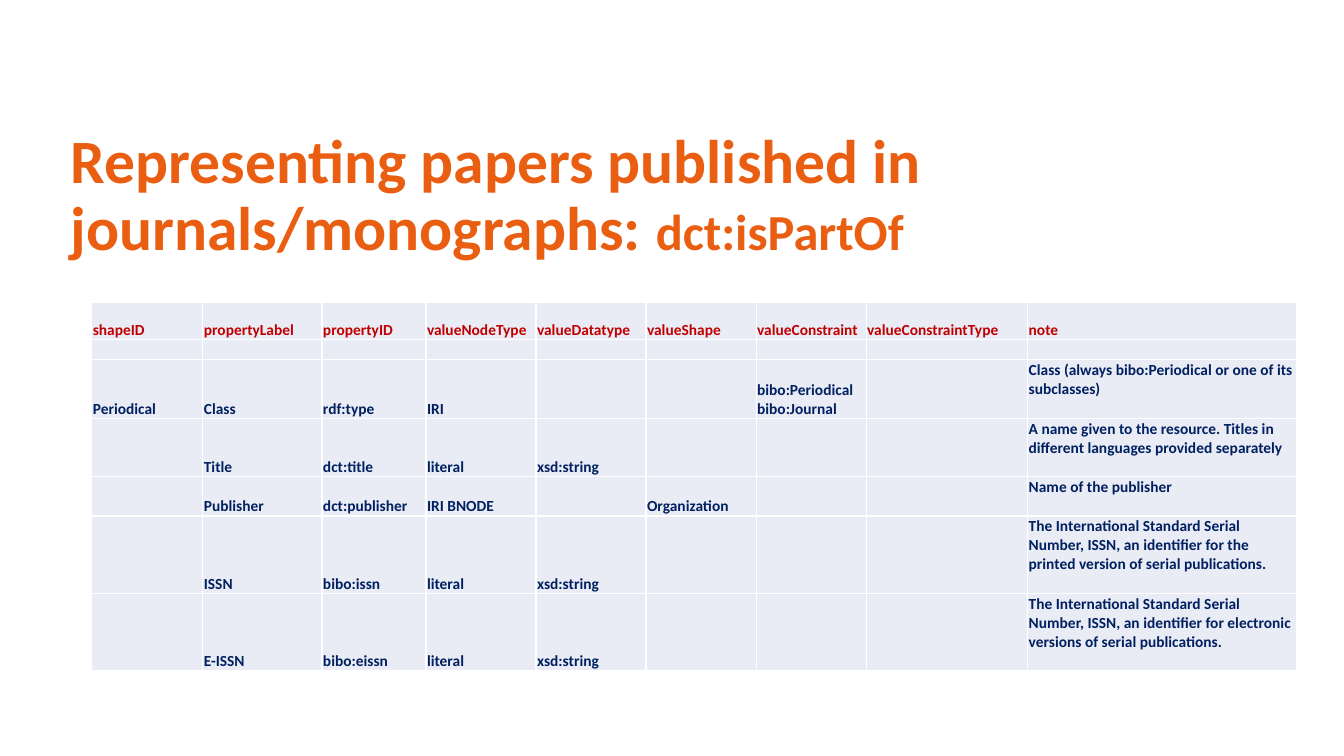
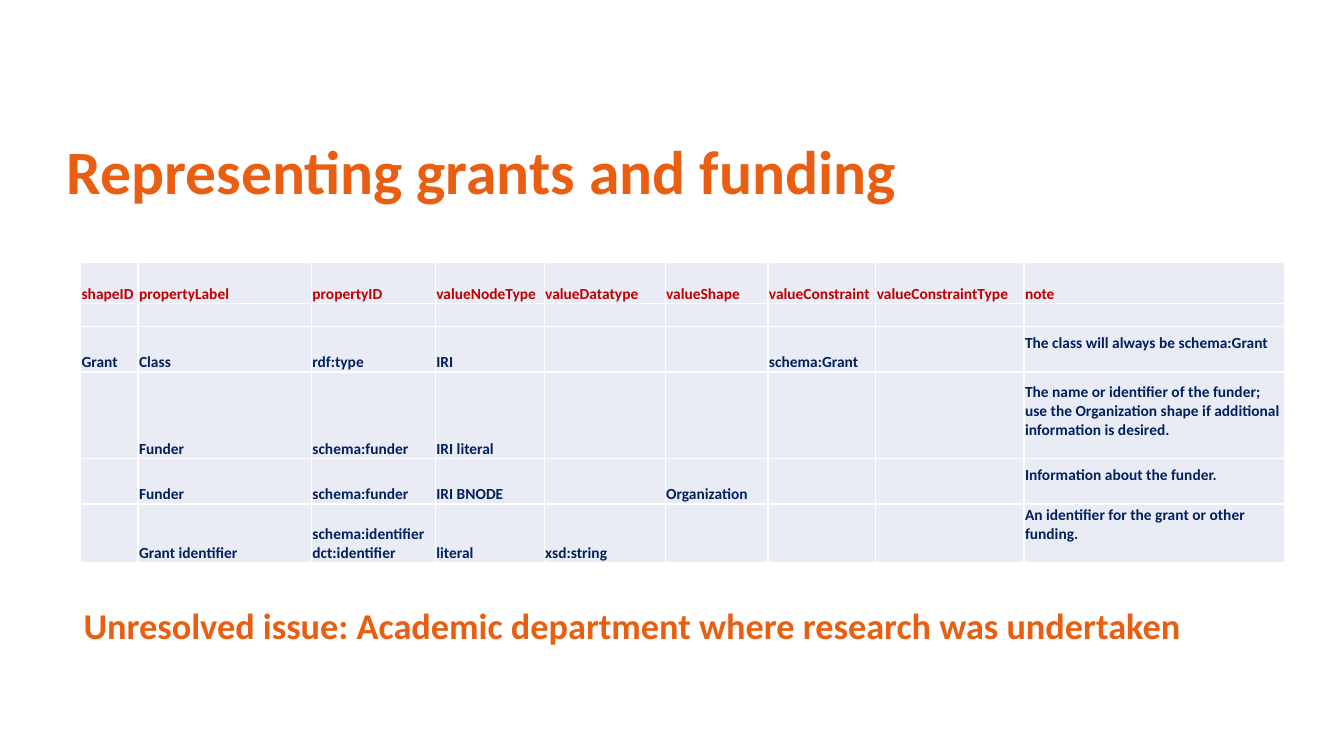
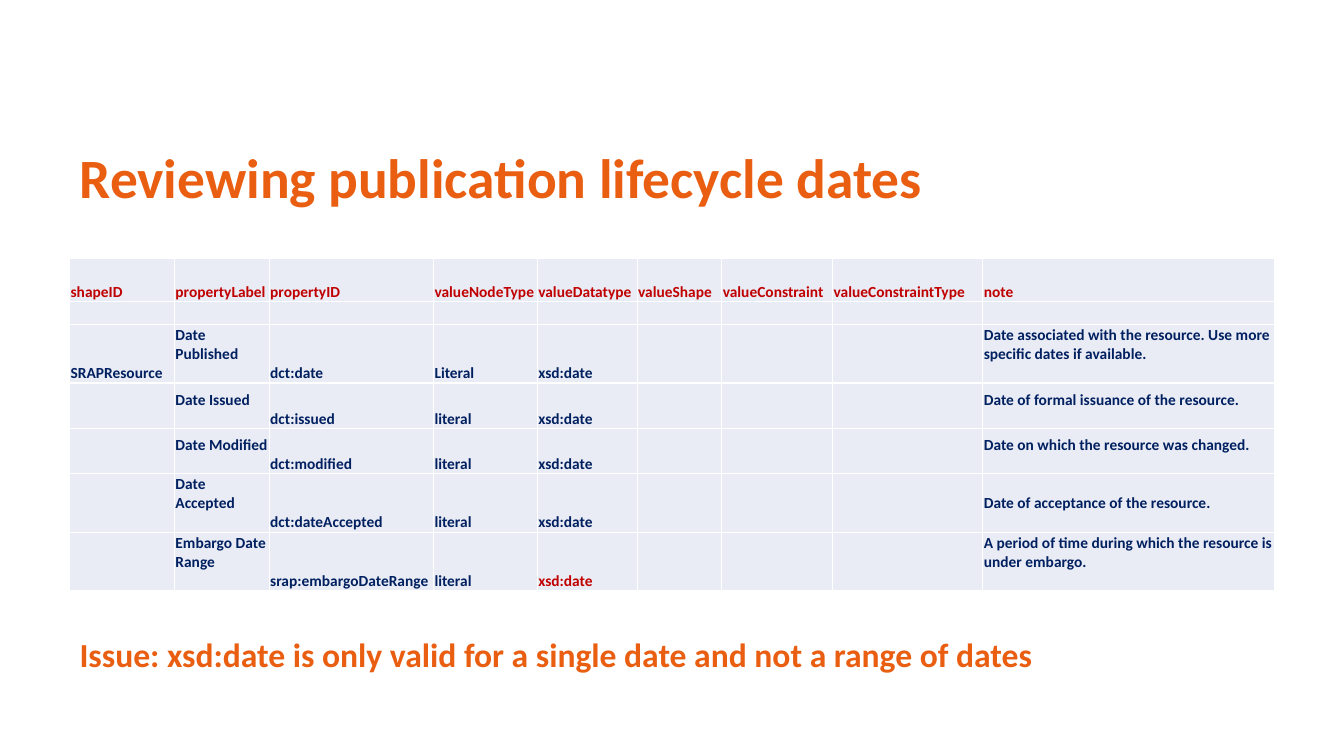
from dataclasses import dataclass

from lxml import etree
from pptx import Presentation
from pptx import util as u
from pptx.dml.color import RGBColor
from pptx.enum import text
from pptx.oxml import ns


@dataclass(frozen=True)
class Theme:
    font: str = "Calibri"
    accent: str = "E95E11"
    header: str = "C00000"
    body: str = "002060"
    cell: str = "E9EBF5"
    border: str = "FFFFFF"
    title_size: float = 44
    term_size: float = 36
    small_title_size: float = 39.6
    cell_size: float = 11


theme = Theme()
HEADERS = ("shapeID", "propertyLabel", "propertyID", "valueNodeType", "valueDatatype",
           "valueShape", "valueConstraint", "valueConstraintType", "note")
TABLE_WIDTH = 89.63  # percent of the slide width
CELL_INSET = u.Inches(0.01)
RAISED_INSET = u.Inches(0.19)  # lifts text by one line above the cell's bottom

# Boxes are left, top, width, height in percent of the slide.
# Column widths are relative; row heights are in inches.
SLIDES = [
    dict(
        title=[("Representing papers published in journals/monographs: ", theme.title_size),
               ("dct:isPartOf", theme.term_size)],
        title_box=(4.5, 16.4, 90.6, 19.33),
        table_at=(6.83, 40),
        columns=(1.1, 1.18, 1.03, 1.09, 1.09, 1.09, 1.09, 1.6, 2.66),
        heights=(0.37, 0.2, 0.58, 0.58, 0.39, 0.76, 0.76),
        raised={8},
        rows=[
            ("Periodical", "Class", "rdf:type", "IRI", "", "", "bibo:Periodical bibo:Journal", "",
             "Class (always bibo:Periodical or one of its subclasses)"),
            ("", "Title", "dct:title", "literal", "xsd:string", "", "", "",
             "A name given to the resource. Titles in different languages provided separately"),
            ("", "Publisher", "dct:publisher", "IRI BNODE", "", "Organization", "", "",
             "Name of the publisher"),
            ("", "ISSN", "bibo:issn", "literal", "xsd:string", "", "", "",
             "The International Standard Serial Number, ISSN, an identifier for the printed "
             "version of serial publications."),
            ("", "E-ISSN", "bibo:eissn", "literal", "xsd:string", "", "", "",
             "The International Standard Serial Number, ISSN, an identifier for electronic "
             "versions of serial publications."),
        ],
    ),
    dict(
        title=[("Representing grants and funding", theme.title_size)],
        title_box=(4.2, 13.47, 90.6, 19.33),
        table_at=(6, 34.67),
        columns=(0.57, 1.72, 1.23, 1.08, 1.2, 1.02, 1.07, 1.47, 2.59),
        heights=(0.41, 0.23, 0.45, 0.86, 0.45, 0.58),
        raised={8},
        rows=[
            ("Grant", "Class", "rdf:type", "IRI", "", "", "schema:Grant", "",
             "The class will always be schema:Grant"),
            ("", "Funder", "schema:funder", "IRI literal", "", "", "", "",
             "The name or identifier of the funder; use the Organization shape if additional "
             "information is desired."),
            ("", "Funder", "schema:funder", "IRI BNODE", "", "Organization", "", "",
             "Information about the funder."),
            ("", "Grant identifier", "schema:identifier dct:identifier", "literal", "xsd:string",
             "", "", "", "An identifier for the grant or other funding."),
        ],
        issue=("Unresolved issue: Academic department where research was undertaken", 25.9, 0.9),
        issue_box=(5.48, 79.73, 85.28, 10.93),
    ),
    dict(
        title=[("Reviewing publication lifecycle dates", theme.small_title_size)],
        title_box=(5.18, 15.6, 65.55, 16.67),
        table_at=(5.18, 34.13),
        columns=(1.04, 0.94, 1.63, 1.03, 0.99, 0.84, 1.1, 1.49, 2.89),
        heights=(0.43, 0.23, 0.58, 0.45, 0.45, 0.58, 0.58),
        raised={1, 8},
        rows=[
            ("SRAPResource", "Date Published", "dct:date", "Literal", "xsd:date", "", "", "",
             "Date associated with the resource. Use more specific dates if available."),
            ("", "Date Issued", "dct:issued", "literal", "xsd:date", "", "", "",
             "Date of formal issuance of the resource."),
            ("", "Date Modified", "dct:modified", "literal", "xsd:date", "", "", "",
             "Date on which the resource was changed."),
            ("", "Date Accepted", "dct:dateAccepted", "literal", "xsd:date", "", "", "",
             "Date of acceptance of the resource."),
            ("", "Embargo Date Range", "srap:embargoDateRange", "literal", "xsd:date", "", "", "",
             "A period of time during which the resource is under embargo."),
        ],
        highlighted=(6, 4),
        issue=("Issue: xsd:date is only valid for a single date and not a range of dates", 24, 1),
        issue_box=(5.18, 83.2, 74.33, 6.67),
    ),
]

presentation = Presentation()
presentation.slide_width, presentation.slide_height = u.Inches(13.33), u.Inches(7.5)


def from_percent(*shares):
    """Turn alternating horizontal and vertical percentages into lengths."""
    sides = (presentation.slide_width, presentation.slide_height)
    return [round(sides[index % 2] * share / 100) for index, share in enumerate(shares)]


def add_run(paragraph, words, size, color):
    run = paragraph.add_run()
    run.text = words
    run.font.name, run.font.size, run.font.bold = theme.font, u.Pt(size), True
    run.font.color.rgb = RGBColor.from_string(color)


for content in SLIDES:
    slide = presentation.slides.add_slide(presentation.slide_layouts[5])

    title = slide.shapes.title
    title.left, title.top, title.width, title.height = from_percent(*content["title_box"])
    title.text_frame.word_wrap = True
    title.text_frame.auto_size = text.MSO_AUTO_SIZE.NONE
    title.text_frame.vertical_anchor = text.MSO_ANCHOR.MIDDLE
    paragraph = title.text_frame.paragraphs[0]
    paragraph.alignment, paragraph.line_spacing = text.PP_ALIGN.LEFT, 0.9
    for words, size in content["title"]:
        add_run(paragraph, words, size, theme.accent)

    rows = [HEADERS, ("",) * len(HEADERS), *content["rows"]]
    left, top, table_width = from_percent(*content["table_at"], TABLE_WIDTH)
    table_height = u.Inches(sum(content["heights"]))
    table = slide.shapes.add_table(len(rows), len(HEADERS), left, top,
                                   table_width, table_height).table
    table.first_row = table.horz_banding = False
    for column, share in zip(table.columns, content["columns"]):
        column.width = round(table_width * share / sum(content["columns"]))
    for row, height in zip(table.rows, content["heights"]):
        row.height = u.Inches(height)

    for row_index, row in enumerate(rows):
        for column_index, words in enumerate(row):
            cell = table.cell(row_index, column_index)
            cell.vertical_anchor = text.MSO_ANCHOR.BOTTOM
            cell.margin_left = cell.margin_right = cell.margin_top = CELL_INSET
            raised = row_index > 0 and words and column_index in content["raised"]
            cell.margin_bottom = RAISED_INSET if raised else 0

            properties = cell._tc.get_or_add_tcPr()
            for edge in ("a:lnL", "a:lnR", "a:lnT", "a:lnB"):
                line = etree.SubElement(properties, ns.qn(edge), w=str(u.Pt(1)))
                fill = etree.SubElement(line, ns.qn("a:solidFill"))
                etree.SubElement(fill, ns.qn("a:srgbClr"), val=theme.border)
            cell.fill.solid()
            cell.fill.fore_color.rgb = RGBColor.from_string(theme.cell)

            paragraph = cell.text_frame.paragraphs[0]
            if words:
                red = row_index == 0 or (row_index, column_index) == content.get("highlighted")
                add_run(paragraph, words, theme.cell_size, theme.header if red else theme.body)
            else:
                etree.SubElement(paragraph._p, ns.qn("a:endParaRPr"),
                                 sz=str(theme.cell_size * 100))

    if "issue" in content:
        words, size, line_spacing = content["issue"]
        issue = slide.shapes.add_textbox(*from_percent(*content["issue_box"]))
        issue.text_frame.word_wrap = True
        paragraph = issue.text_frame.paragraphs[0]
        paragraph.line_spacing = line_spacing
        add_run(paragraph, words, size, theme.accent)

presentation.save("out.pptx")
